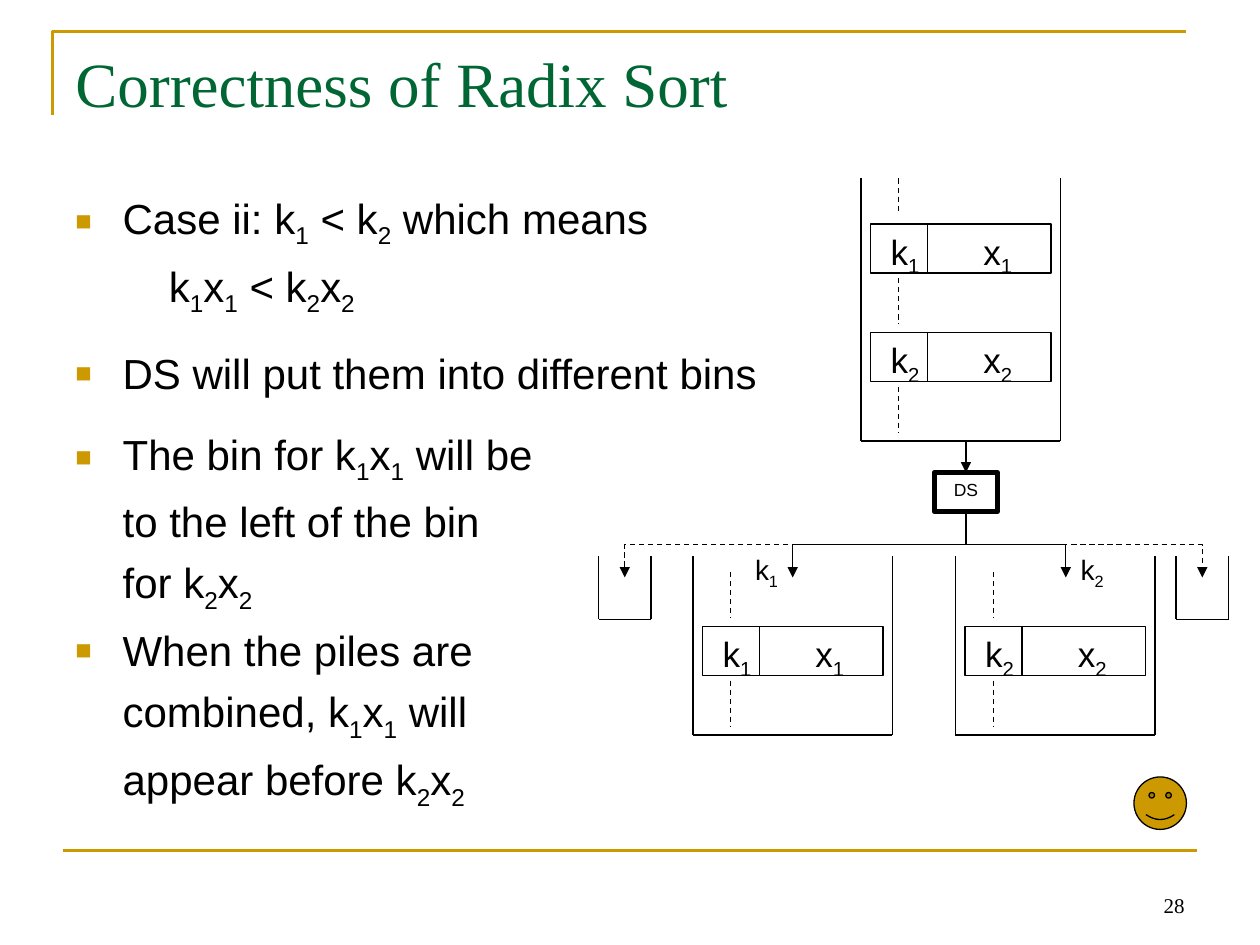
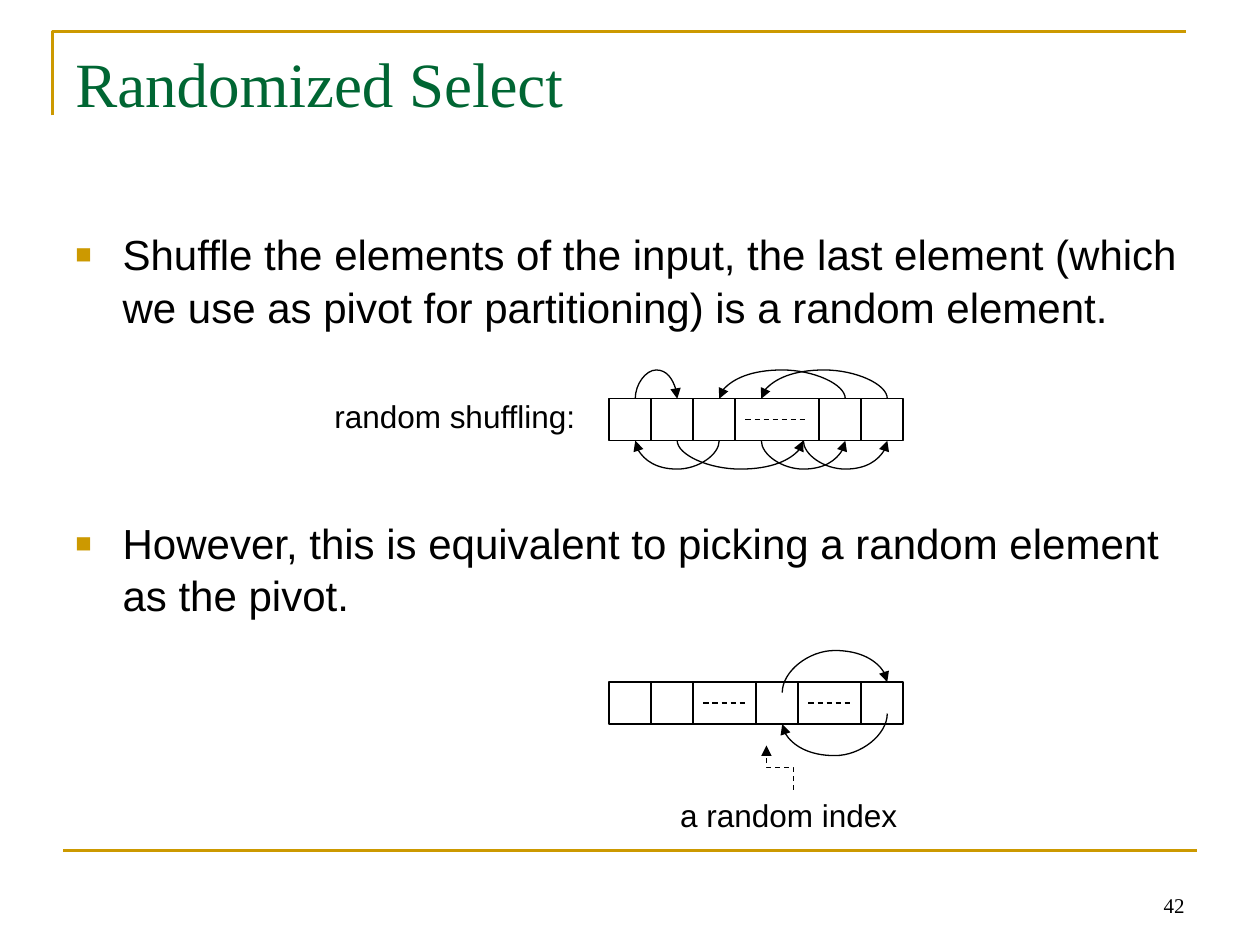
from dataclasses import dataclass

from lxml.etree import SubElement
from pptx import Presentation
from pptx.dml.color import RGBColor
from pptx.enum.dml import MSO_LINE
from pptx.enum.shapes import MSO_CONNECTOR, MSO_SHAPE
from pptx.enum.text import MSO_ANCHOR, MSO_AUTO_SIZE, PP_ALIGN
from pptx.oxml.ns import qn
from pptx.util import Pt

GOLD, GREEN, BLACK = "CC9900", "006633", "000000"
SANS, SERIF = "Arial", "Times New Roman"
CELL = 24
ROW_LEFT = 348


@dataclass(frozen=True)
class TextStyle:
    size: float
    font: str = SANS
    color: str = BLACK
    align: PP_ALIGN = PP_ALIGN.LEFT
    anchor: MSO_ANCHOR = MSO_ANCHOR.TOP
    wrap: bool = True


@dataclass(frozen=True)
class Item:
    """One body paragraph; text between tildes is subscript."""
    text: str
    bullet: bool = True
    margin: float = 27
    gap: float = 0


@dataclass(frozen=True)
class Bin:
    left: float
    top: float
    width: float
    height: float
    records: tuple = ()
    dashes: tuple = ()


TITLE = TextStyle(36, SERIF, GREEN)
NUMBER = TextStyle(12, SERIF, align=PP_ALIGN.RIGHT, anchor=MSO_ANCHOR.BOTTOM)
BODY = TextStyle(24)
RECORD = TextStyle(20, align=PP_ALIGN.CENTER, wrap=False)
KEY = TextStyle(16, align=PP_ALIGN.CENTER)
CAPTION = TextStyle(18, align=PP_ALIGN.CENTER, wrap=False)
SORTER = TextStyle(10, align=PP_ALIGN.CENTER)

RADIX_ITEMS = (
    Item("Case ii: k~1~ < k~2~ which means"),
    Item("k~1~x~1~ < k~2~x~2~", False, 53.4),
    Item("DS will put them into different bins", gap=11.2),
    Item("The bin for k~1~x~1~ will be", gap=11.2),
    Item("to the left of the bin", False),
    Item("for k~2~x~2~", False),
    Item("When the piles are"),
    Item("combined, k~1~x~1~ will", False),
    Item("appear before k~2~x~2~", False),
)
SELECT_ITEMS = (
    Item("Shuffle the elements of the input, the last element (which "
         "we use as pivot for partitioning) is a random element."),
    Item("However, this is equivalent to picking a random element "
         "as the pivot.", gap=100.4),
)
LOWER_DASHES = ((327, 353), (389, 415))
BINS = (
    Bin(492, 102, 114, 150, ((128, "1"), (190, "2")),
        ((102, 122.4), (159, 185), (221, 247))),
    Bin(342, 318, 30, 36),
    Bin(396, 318, 114, 102, ((358, "1"),), LOWER_DASHES),
    Bin(546, 318, 114, 102, ((358, "2"),), LOWER_DASHES),
    Bin(672, 318, 30, 36),
)


def rgb(color: str) -> RGBColor:
    return RGBColor.from_string(color)


def apply(target, values: dict) -> None:
    for name, value in values.items():
        setattr(target, name, value)


def set_line(shape, color: str = BLACK, width: float = 0.75, dashed: bool = False) -> None:
    shape.line.color.rgb = rgb(color)
    shape.line.width = Pt(width)
    if dashed:
        shape.line.dash_style = MSO_LINE.DASH


def write(para, text: str, style: TextStyle) -> None:
    """Fill a paragraph; every second piece between tildes is subscript."""
    para.alignment = style.align
    for position, piece in enumerate(text.split("~")):
        if not piece:
            continue
        span = para.add_run()
        span.text = piece
        apply(span.font, {"size": Pt(style.size), "name": style.font})
        span.font.color.rgb = rgb(style.color)
        if position % 2:
            span.font._element.set("baseline", "-25000")


def add_text(page, left, top, width, height, text: str, style: TextStyle):
    box = page.shapes.add_textbox(Pt(left), Pt(top), Pt(width), Pt(height))
    apply(box.text_frame, {"word_wrap": style.wrap, "vertical_anchor": style.anchor,
                           "auto_size": MSO_AUTO_SIZE.NONE})
    write(box.text_frame.paragraphs[0], text, style)
    return box


def add_bullet(para) -> None:
    properties = para._p.get_or_add_pPr()
    color = SubElement(properties, qn("a:buClr"))
    SubElement(color, qn("a:srgbClr")).set("val", GOLD)
    SubElement(properties, qn("a:buSzPct")).set("val", "65000")
    SubElement(properties, qn("a:buFont")).set("typeface", SANS)
    SubElement(properties, qn("a:buChar")).set("char", "■")


def add_body(page, top: float, items: tuple) -> None:
    box = page.shapes.add_textbox(Pt(36), Pt(top), Pt(648), Pt(356.4))
    frame = box.text_frame
    frame.word_wrap = True
    for position, item in enumerate(items):
        para = frame.add_paragraph() if position else frame.paragraphs[0]
        apply(para, {"space_before": Pt(4.8 + item.gap), "line_spacing": 1.04})
        write(para, item.text, BODY)
        properties = para._p.get_or_add_pPr()
        properties.set("marL", str(Pt(item.margin)))
        properties.set("indent", str(Pt(-item.margin if item.bullet else 0)))
        if item.bullet:
            add_bullet(para)


def add_block(page, left, top, width, height, kind=MSO_SHAPE.RECTANGLE, line_width=0.75):
    block = page.shapes.add_shape(kind, Pt(left), Pt(top), Pt(width), Pt(height))
    block.shadow.inherit = False
    block.fill.background()
    set_line(block, width=line_width)
    return block


def add_line(page, x1, y1, x2, y2, color=BLACK, width=0.75, dashed=False,
             arrow=False, kind=MSO_CONNECTOR.STRAIGHT):
    line = page.shapes.add_connector(kind, Pt(x1), Pt(y1), Pt(x2), Pt(y2))
    set_line(line, color, width, dashed)
    if arrow:
        SubElement(line.line._get_or_add_ln(), qn("a:tailEnd")).set("type", "triangle")
    SubElement(line._element.spPr, qn("a:effectLst"))
    return line


def add_route(page, x1, y1, x2, y2, bend_y, kind, dashed=False) -> None:
    """Arrow that leaves vertically, crosses at bend_y and arrives vertically."""
    run, rise = x2 - x1, y2 - y1
    middle_x, middle_y = (x1 + x2) / 2, (y1 + y2) / 2
    half_width, half_height = abs(rise) / 2, abs(run) / 2
    route = add_line(page, middle_x - half_width, middle_y - half_height,
                     middle_x + half_width, middle_y + half_height,
                     dashed=dashed, arrow=True, kind=kind)
    properties = route._element.spPr
    transform = properties.find(qn("a:xfrm"))
    transform.set("rot", str((90 if run < 0 else 270) * 60000))
    if (run > 0) == (rise > 0):
        transform.set("flipH", "1")
    geometry = properties.find(qn("a:prstGeom"))
    guides = geometry.find(qn("a:avLst"))
    if guides is None:
        guides = SubElement(geometry, qn("a:avLst"))
    guide = SubElement(guides, qn("a:gd"))
    guide.set("name", "adj1")
    guide.set("fmla", f"val {round((bend_y - y1) / rise * 100000)}")


def add_page(deck, title: str, number: str):
    page = deck.slides.add_slide(deck.slide_layouts[6])
    builder = page.shapes.build_freeform(Pt(30), Pt(66))
    builder.add_line_segments([(Pt(30), Pt(18)), (Pt(678), Pt(18))], close=False)
    corner = builder.convert_to_shape()
    corner.shadow.inherit = False
    corner.fill.background()
    set_line(corner, GOLD, 1.5)
    add_line(page, 36, 486, 684, 486, GOLD, 1.5)
    add_text(page, 516, 492, 168, 36, number, NUMBER)
    add_text(page, 36, 21.6, 648, 90, title, TITLE)
    return page


def add_record(page, left: float, top: float, index: str) -> None:
    for name, offset, width, label_offset in (("k", 0, 32.6, 4), ("x", 32.6, 70.6, 57)):
        add_block(page, left + offset, top, width, 28)
        add_text(page, left + label_offset, top, 31.6, 31, f"{name}~{index}~", RECORD)


def add_bin(page, pile: Bin) -> None:
    right, bottom = pile.left + pile.width, pile.top + pile.height
    add_line(page, pile.left, pile.top, pile.left, bottom)
    add_line(page, pile.left, bottom, right, bottom)
    add_line(page, right, pile.top, right, bottom)
    for top, index in pile.records:
        add_record(page, pile.left + 5.4, top, index)
    for start, end in pile.dashes:
        add_line(page, pile.left + 21.6, start, pile.left + 21.6, end, dashed=True)


def add_row(page, top: float, columns: tuple, gaps: tuple) -> None:
    """Array cells at the given columns, rails between, dashes in the gaps."""
    for column in columns:
        add_block(page, ROW_LEFT + column * CELL, top, CELL, CELL)
    for y in (top, top + CELL):
        add_line(page, 396, y, 504, y)
    for start, end in gaps:
        add_line(page, start, top + CELL / 2, end, top + CELL / 2, dashed=True)


def build_radix_page(deck) -> None:
    page = add_page(deck, "Correctness of Radix Sort", "28")
    add_body(page, 105, RADIX_ITEMS)
    for pile in BINS:
        add_bin(page, pile)
    sorter = add_block(page, 534, 270, 36, 22.3, line_width=3)
    sorter.text_frame.vertical_anchor = MSO_ANCHOR.TOP
    write(sorter.text_frame.paragraphs[0], "DS", SORTER)
    feed = add_line(page, 552, 252, 552, 270, arrow=True)
    feed.end_connect(sorter, 0)
    for target, dashed in ((357, True), (453, False), (609, False), (687, True)):
        add_route(page, 552, 294, target, 330, 311.2, MSO_CONNECTOR.ELBOW, dashed)
    for left, index in ((408, "1"), (594, "2")):
        add_text(page, left, 312, 60, 26.6, f"k~{index}~", KEY)
    smiley = add_block(page, 648, 444, 30, 30, MSO_SHAPE.SMILEY_FACE)
    smiley.adjustments[0] = 0.05
    smiley.fill.solid()
    smiley.fill.fore_color.rgb = rgb(GOLD)


def build_select_page(deck) -> None:
    page = add_page(deck, "Randomized Select", "42")
    add_body(page, 126, SELECT_ITEMS)
    shuffle_top, pivot_top = 227.75, 389.75
    add_row(page, shuffle_top, (0, 1, 2, 5, 6), ((426, 462),))
    add_row(page, pivot_top, (0, 1, 3.5, 6), ((402, 426), (462, 486)))

    over = ((0, 1), (5, 2), (6, 3))
    under = ((1, 4), (2, 0), (3, 5), (4, 6))
    for moves, y, bend in ((over, shuffle_top, -18), (under, shuffle_top + CELL, 18)):
        for source, target in moves:
            add_route(page, 363 + source * CELL, y, 363 + target * CELL, y + 0.125,
                      y + bend, MSO_CONNECTOR.CURVE)
    pivot_bottom = pivot_top + CELL
    add_route(page, 447, pivot_top + 6, 507, pivot_top, pivot_top - 18, MSO_CONNECTOR.CURVE)
    add_route(page, 507, pivot_bottom - 6, 447, pivot_bottom, pivot_bottom + 18,
              MSO_CONNECTOR.CURVE)
    add_route(page, 453.6, 451.4, 438, 426, 438.7, MSO_CONNECTOR.ELBOW, dashed=True)
    add_text(page, 183.6, 223.2, 152.6, 28.8, "random shuffling:", CAPTION)
    add_text(page, 381.6, 451.4, 138.2, 28.8, "a random index", CAPTION)


def main() -> None:
    deck = Presentation()
    apply(deck, {"slide_width": Pt(720), "slide_height": Pt(540)})
    build_radix_page(deck)
    build_select_page(deck)
    deck.save("out.pptx")


if __name__ == "__main__":
    main()
